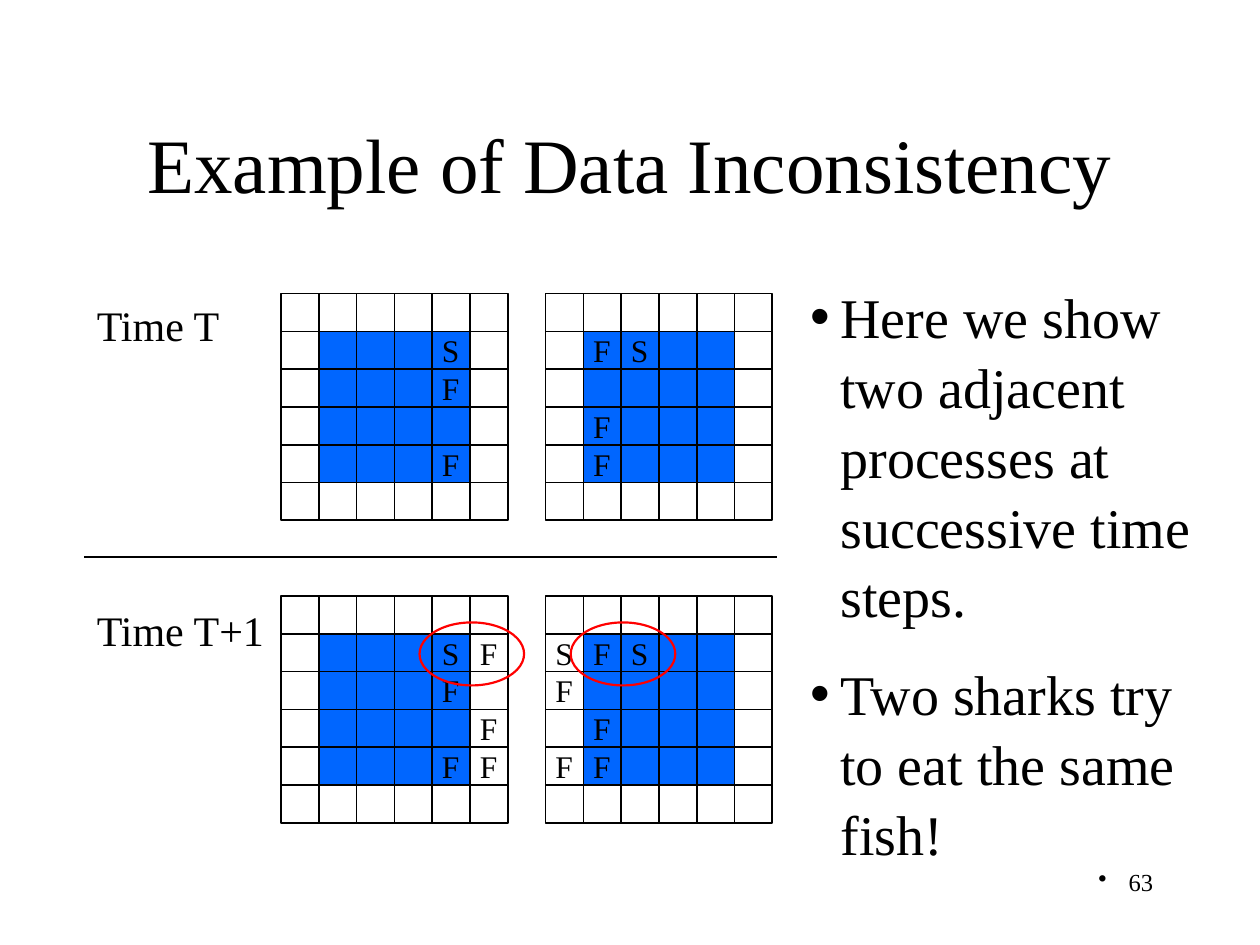
from dataclasses import dataclass

from pptx import Presentation
from pptx.dml.color import RGBColor
from pptx.enum.shapes import MSO_CONNECTOR, MSO_SHAPE
from pptx.enum.text import MSO_ANCHOR, MSO_AUTO_SIZE, PP_ALIGN
from pptx.oxml.ns import qn
from pptx.util import Inches, Pt

BLACK = RGBColor(0x00, 0x00, 0x00)
BLUE = RGBColor(0x00, 0x66, 0xFF)
RED = RGBColor(0xFF, 0x00, 0x00)
FONT = "Times New Roman"
CELL = 0.3
CELLS = 6
GRID_SIZE = CELL * CELLS
BULLET_INDENT = 0.24


@dataclass(frozen=True)
class ProcessGrid:
    """Cells of one process; a space in rows is an empty cell."""
    left: float
    top: float
    rows: tuple[str, ...]


@dataclass(frozen=True)
class TimeLabel:
    text: str
    top: float
    width: float


LEFT_X, RIGHT_X = 2.23, 4.33
TIME_T_Y, TIME_T1_Y = 2.33, 4.73
GRIDS = (
    ProcessGrid(LEFT_X, TIME_T_Y, ("", "    S", "    F", "", "    F")),
    ProcessGrid(RIGHT_X, TIME_T_Y, ("", " FS", "", " F", " F")),
    ProcessGrid(LEFT_X, TIME_T1_Y, ("", "    SF", "    F", "     F", "    FF")),
    ProcessGrid(RIGHT_X, TIME_T1_Y, ("", "SFS", "F", " F", "FF")),
)
TIME_LABELS = (TimeLabel("Time T", 2.33, 1.19), TimeLabel("Time T+1", 4.75, 1.54))
CONFLICT_LEFTS = (3.33, 4.53)
POINTS = (
    "Here we show two adjacent processes at successive time steps.",
    "Two sharks try to eat the same fish!",
)


def place(shape, left: float, top: float, width: float, height: float) -> None:
    shape.left, shape.top = Inches(left), Inches(top)
    shape.width, shape.height = Inches(width), Inches(height)


def style(paragraph, size: float) -> None:
    paragraph.font.name = FONT
    paragraph.font.size = Pt(size)
    paragraph.font.color.rgb = BLACK


def add_bullet(paragraph) -> None:
    properties = paragraph._p.get_or_add_pPr()
    properties.set("marL", str(Inches(BULLET_INDENT)))
    properties.set("indent", str(-Inches(BULLET_INDENT)))
    bullet = properties.makeelement(qn("a:buChar"), {"char": "•"})
    properties.insert_element_before(bullet, "a:tabLst", "a:defRPr", "a:extLst")


def add_text(slide, text: str, left: float, top: float, width: float,
             height: float, size: float, wrap: bool = False):
    box = slide.shapes.add_textbox(Inches(left), Inches(top), Inches(width), Inches(height))
    box.text_frame.word_wrap = wrap
    paragraph = box.text_frame.paragraphs[0]
    paragraph.text = text
    style(paragraph, size)
    return paragraph


def add_outline(slide, kind: MSO_SHAPE, left: float, top: float, width: float,
                height: float, color: RGBColor, weight: float) -> None:
    shape = slide.shapes.add_shape(kind, Inches(left), Inches(top), Inches(width), Inches(height))
    shape.shadow.inherit = False
    shape.fill.background()
    shape.line.color.rgb = color
    shape.line.width = Pt(weight)


def add_line(slide, x1: float, y1: float, x2: float, y2: float, weight: float = 1) -> None:
    line = slide.shapes.add_connector(
        MSO_CONNECTOR.STRAIGHT, Inches(x1), Inches(y1), Inches(x2), Inches(y2))
    line.line.color.rgb = BLACK
    line.line.width = Pt(weight)
    properties = line._element.spPr
    properties.append(properties.makeelement(qn("a:effectLst"), {}))


def add_grid(slide, grid: ProcessGrid) -> None:
    owned_size = GRID_SIZE - 2 * CELL
    owned = slide.shapes.add_shape(
        MSO_SHAPE.RECTANGLE, Inches(grid.left + CELL), Inches(grid.top + CELL),
        Inches(owned_size), Inches(owned_size))
    owned.shadow.inherit = False
    owned.fill.solid()
    owned.fill.fore_color.rgb = BLUE
    owned.line.fill.background()
    add_outline(slide, MSO_SHAPE.RECTANGLE, grid.left, grid.top, GRID_SIZE, GRID_SIZE, BLACK, 1)
    for step in range(1, CELLS):
        x, y = grid.left + step * CELL, grid.top + step * CELL
        add_line(slide, x, grid.top, x, grid.top + GRID_SIZE)
        add_line(slide, grid.left + GRID_SIZE, y, grid.left, y)
    for row, letters in enumerate(grid.rows):
        for column, letter in enumerate(letters):
            if letter != " ":
                add_text(slide, letter, grid.left + column * CELL - 0.02,
                         grid.top + row * CELL - 0.05, 0.34, 0.4, 18)


def fill_title(title) -> None:
    place(title, 0.75, 0.67, 8.5, 1.25)
    title.text_frame.text = "Example of Data Inconsistency"
    title.text_frame.vertical_anchor = MSO_ANCHOR.MIDDLE
    heading = title.text_frame.paragraphs[0]
    heading.alignment = PP_ALIGN.CENTER
    style(heading, 44)


def fill_points(body) -> None:
    place(body, 6.33, 2.17, 3.25, 4.63)
    body.text_frame.auto_size = MSO_AUTO_SIZE.NONE
    body.text_frame.text = "\n".join(POINTS)
    for point in body.text_frame.paragraphs:
        style(point, 32)
        point.line_spacing = 1.04
        point.space_before = Pt(0)
        point.space_after = Pt(16)
        add_bullet(point)


def main() -> None:
    presentation = Presentation()
    presentation.slide_width, presentation.slide_height = Inches(10), Inches(7.5)
    slide = presentation.slides.add_slide(presentation.slide_layouts[1])
    fill_title(slide.shapes.title)
    fill_points(slide.placeholders[1])
    for grid in GRIDS:
        add_grid(slide, grid)
    for label in TIME_LABELS:
        add_text(slide, label.text, 0.67, label.top, label.width, 0.5, 24)
    add_line(slide, 0.67, 4.42, 6.17, 4.42, 1.5)
    for left in CONFLICT_LEFTS:
        add_outline(slide, MSO_SHAPE.OVAL, left, 4.94, 0.83, 0.5, RED, 1.25)
    page_number = add_text(slide, "63", 7.17, 6.83, 2.08, 0.5, 14, wrap=True)
    page_number.alignment = PP_ALIGN.RIGHT
    add_bullet(page_number)
    presentation.save("out.pptx")


if __name__ == "__main__":
    main()
